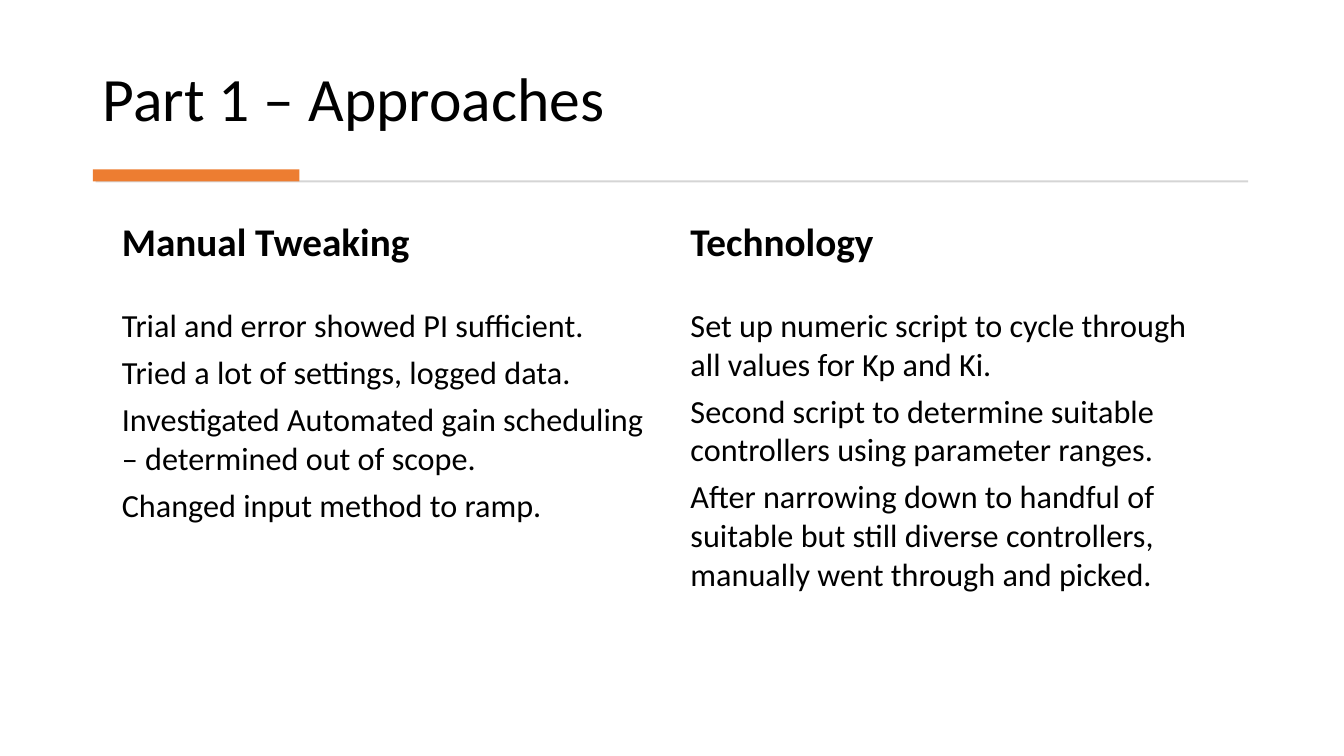
from pptx import Presentation
from pptx.dml.color import RGBColor as RGB
from pptx.enum.shapes import MSO_SHAPE as Shape
from pptx.enum.text import MSO_ANCHOR as Anchor
from pptx.util import Inches, Pt

FONT = "Calibri"
COLORS = {"text": "000000", "rule": "D5D5D5", "accent": "ED7D31"}

HEAD_TOP, HEAD_H = 2.11, 0.87
BODY_H = 3.89

# Left edge, width, heading, points
COLUMNS = [
    (1.11, 5.45, "Manual Tweaking", [
        "Trial and error showed PI sufficient.",
        "Tried a lot of settings, logged data.",
        "Investigated Automated gain scheduling – determined out of scope.",
        "Changed input method to ramp.",
    ]),
    (6.75, 5.48, "Technology", [
        "Set up numeric script to cycle through all values for Kp and Ki.",
        "Second script to determine suitable controllers using parameter ranges.",
        "After narrowing down to handful of suitable but still diverse "
        "controllers, manually went through and picked.",
    ]),
]


def add_text(slide, box, lines, size, bold=False, after=6, pitch=1.0,
             anchor=Anchor.TOP):
    frame = slide.shapes.add_textbox(*map(Inches, box)).text_frame
    frame.word_wrap = True
    frame.vertical_anchor = anchor
    frame.text = "\n".join(lines)
    for para in frame.paragraphs:
        para.space_after = Pt(after)
        para.line_spacing = pitch
        para.font.name = FONT
        para.font.size = Pt(size)
        para.font.bold = bold
        para.font.color.rgb = RGB.from_string(COLORS["text"])


def add_bar(slide, box, color):
    bar = slide.shapes.add_shape(Shape.RECTANGLE, *map(Inches, box))
    bar.shadow.inherit = False
    bar.fill.solid()
    bar.fill.fore_color.rgb = RGB.from_string(COLORS[color])
    bar.line.fill.background()


def add_column(slide, left, width, head, points):
    add_text(slide, (left, HEAD_TOP, width, HEAD_H), [head], 28, bold=True)
    add_text(slide, (left, HEAD_TOP + HEAD_H, width, BODY_H), points, 23)


def main():
    deck = Presentation()
    deck.slide_width, deck.slide_height = Inches(13.33), Inches(7.5)
    slide = deck.slides.add_slide(deck.slide_layouts[6])

    # Title
    add_text(slide, (0.92, 0.28, 11.49, 1.11), ["Part 1 – Approaches"], 44,
             after=0, pitch=0.9, anchor=Anchor.BOTTOM)

    # Rule with accent
    add_bar(slide, (0.95, 1.79, 11.43, 0.02), "rule")
    add_bar(slide, (0.92, 1.68, 2.05, 0.12), "accent")

    # Two columns
    for column in COLUMNS:
        add_column(slide, *column)

    deck.save("out.pptx")


if __name__ == "__main__":
    main()
